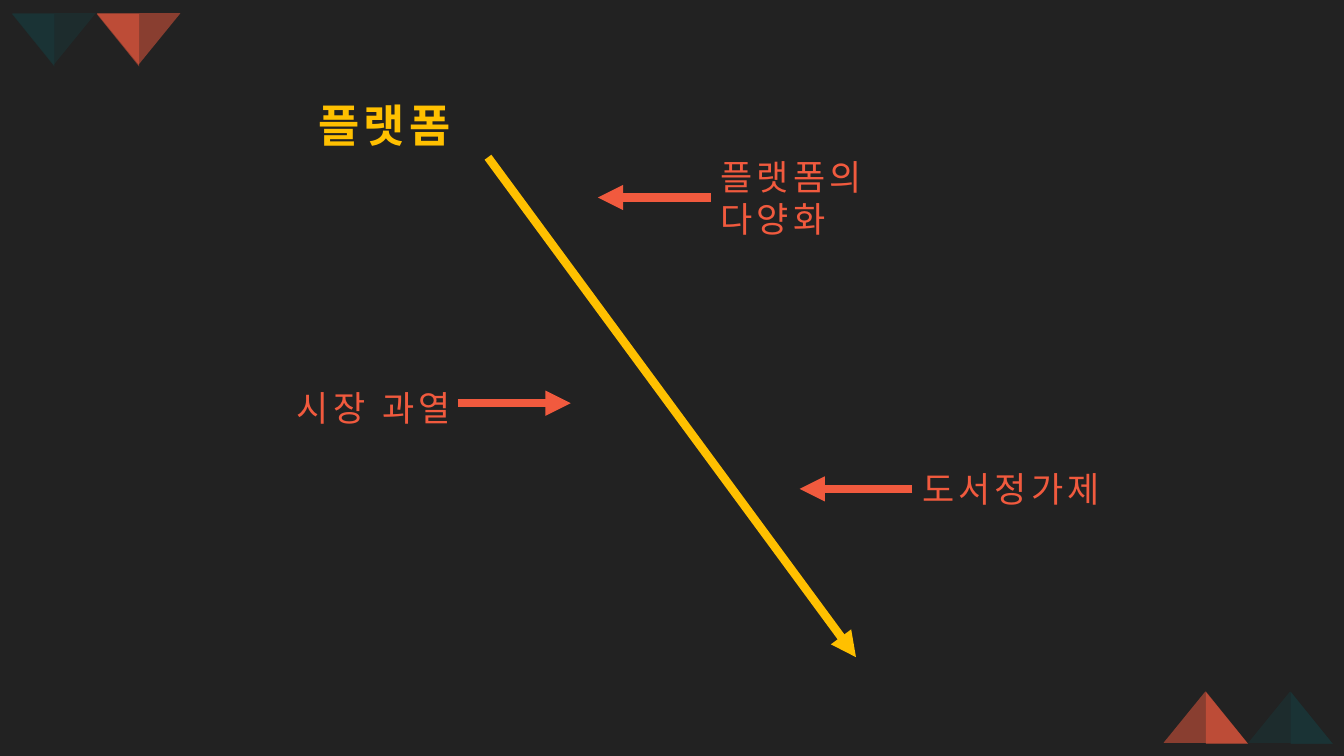
from lxml.etree import SubElement
from pptx import Presentation
from pptx.dml.color import RGBColor
from pptx.enum.shapes import MSO_CONNECTOR as Connector, MSO_SHAPE as Shape
from pptx.enum.text import MSO_ANCHOR as Anchor, MSO_AUTO_SIZE as AutoSize, PP_ALIGN as Align
from pptx.oxml.ns import qn
from pptx.util import Inches, Pt

BACKGROUND = RGBColor(0x22, 0x22, 0x22)
CORAL = RGBColor(0xF1, 0x5A, 0x3E)
TEAL = RGBColor(0x19, 0x37, 0x39)
GOLD = RGBColor(0xFF, 0xC0, 0x00)
ARROW_LENGTH = 1.12


class SlideBuilder:
    """Holds the style and the current slide, and draws each kind of element."""

    font = "Roboto"
    letter_spacing = Pt(3)
    line_width = Pt(6)

    def __init__(self, slide):
        self.slide = slide
        slide.background.fill.solid()
        slide.background.fill.fore_color.rgb = BACKGROUND

    def shape(self, kind, left, top, width, height, color, opacity, rotation):
        shape = self.slide.shapes.add_shape(
            kind, Inches(left), Inches(top), Inches(width), Inches(height))
        shape.shadow.inherit = False
        shape.rotation = rotation
        shape.line.fill.background()
        shape.fill.solid()
        shape.fill.fore_color.rgb = color
        tint = shape.fill._xPr.find(qn("a:solidFill"))[0]
        SubElement(tint, qn("a:alpha")).set("val", str(opacity * 1000))

    def pyramid(self, left, top, color, shade_opacity, inverted=False):
        rotation = 180 if inverted else 0
        half_left = left if inverted else left + 0.42
        half_top = top + 0.01 if inverted else top
        self.shape(Shape.ISOSCELES_TRIANGLE, left, top, 0.83, 0.51, color, 50, rotation)
        self.shape(Shape.RIGHT_TRIANGLE, half_left, half_top, 0.42, 0.52,
                   color, shade_opacity, rotation)

    def label(self, text, left, top, width, height, size, color, align, bold=False):
        box = self.slide.shapes.add_textbox(
            Inches(left), Inches(top), Inches(width), Inches(height))
        frame = box.text_frame
        frame.word_wrap = True
        frame.auto_size = AutoSize.SHAPE_TO_FIT_TEXT
        frame.vertical_anchor = Anchor.MIDDLE
        frame.text = text
        para = frame.paragraphs[0]
        para.alignment = align
        span = para.runs[0]
        span.font.name = self.font
        span.font.size = Pt(size)
        span.font.bold = bold
        span.font.color.rgb = color
        properties = span.font._element
        properties.set("spc", str(int(self.letter_spacing.pt * 100)))
        SubElement(properties, qn("a:ea")).set("typeface", self.font)
        return box

    def arrow(self, start, tip, color, source=None):
        line = self.slide.shapes.add_connector(
            Connector.STRAIGHT, *(Inches(value) for value in start + tip))
        if source is not None:
            line.begin_connect(source, 1)
        line.line.color.rgb = color
        line.line.width = self.line_width
        SubElement(line.line._get_or_add_ln(), qn("a:tailEnd")).set("type", "triangle")
        SubElement(line._element.spPr, qn("a:effectLst"))


def main():
    deck = Presentation()
    deck.slide_width, deck.slide_height = Inches(13.33), Inches(7.5)
    page = SlideBuilder(deck.slides.add_slide(deck.slide_layouts[6]))

    page.pyramid(0.96, 0.13, CORAL, 50, inverted=True)
    page.pyramid(0.12, 0.13, TEAL, 70, inverted=True)
    page.pyramid(11.54, 6.86, CORAL, 50)
    page.pyramid(12.38, 6.86, TEAL, 70)

    page.arrow((4.84, 1.56), (8.49, 6.52), GOLD)
    page.label("플랫폼", 2.96, 0.92, 1.71, 0.64, 32, GOLD, Align.CENTER, bold=True)

    for text, left, top, width in (
        ("플랫폼의 다양화", 7.05, 1.7, 2.8),
        ("도서정가제", 9.05, 4.59, 3.11),
    ):
        cause = page.label(text, left, top, width, 0.52, 25, CORAL, Align.LEFT)
        middle = top + 0.26
        page.arrow((left, middle), (left - ARROW_LENGTH, middle), CORAL, cause)

    page.label("시장 과열", 1.7, 3.78, 2.87, 0.52, 25, CORAL, Align.RIGHT)
    page.arrow((4.54, 4), (4.54 + ARROW_LENGTH, 4), CORAL)

    deck.save("out.pptx")


if __name__ == "__main__":
    main()
